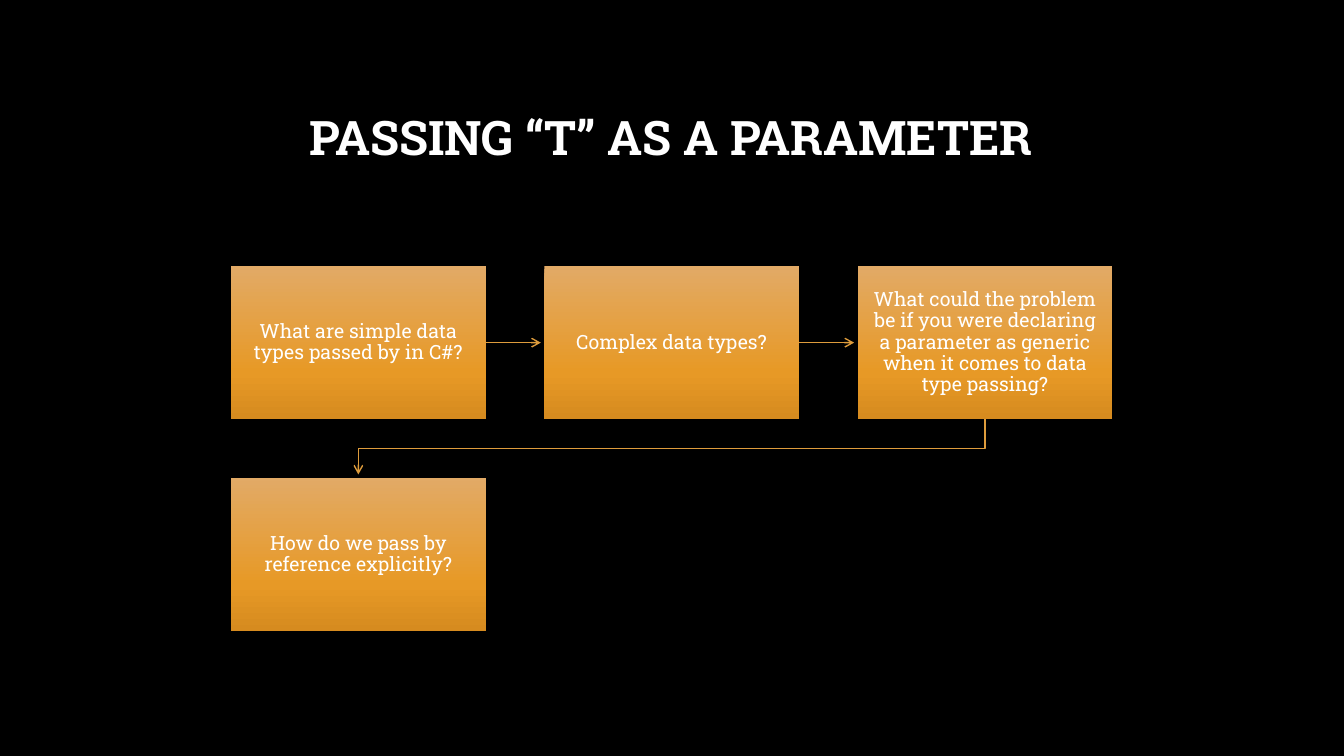
from copy import deepcopy

from pptx import Presentation
from pptx.dml.color import RGBColor as RGB
from pptx.enum.shapes import MSO_CONNECTOR as LINK, MSO_SHAPE as SHAPE
from pptx.enum.text import MSO_ANCHOR as ANCHOR, PP_ALIGN as ALIGN
from pptx.oxml.ns import qn
from pptx.oxml.xmlchemy import OxmlElement as Element
from pptx.util import Pt

BLACK = RGB(0x00, 0x00, 0x00)
WHITE = RGB(0xFF, 0xFF, 0xFF)
AMBER = RGB(0xDE, 0x9C, 0x3C)
FADE = [
    (0, RGB(0xE2, 0xAA, 0x66)),
    (0.69, RGB(0xE7, 0x99, 0x26)),
    (1, RGB(0xD6, 0x8B, 0x1F)),
]
FONT = "Roboto Slab"
TITLE = "PASSING “T” AS A PARAMETER"
STEPS = [
    "What are simple data types passed by in C#?",
    "Complex data types?",
    "What could the problem be if you were declaring a parameter "
    "as generic when it comes to data type passing?",
    "How do we pass by reference explicitly?",
]
COLS = 3
CARD_W, CARD_H = 182, 109.5
STEP_X, STEP_Y = 223.8, 151.4
TIP = 2.5


def write(shape, text, size, bold=False, pad=None, after=0):
    frame = shape.text_frame
    frame.word_wrap = True
    frame.vertical_anchor = ANCHOR.MIDDLE
    if pad:
        frame.margin_left = frame.margin_right = Pt(pad[0])
        frame.margin_top = frame.margin_bottom = Pt(pad[1])
    para = frame.paragraphs[0]
    para.alignment = ALIGN.CENTER
    para.line_spacing = 0.9
    para.space_after = Pt(after)
    run = para.add_run()
    run.text = text
    font = run.font
    font.name, font.size, font.bold = FONT, Pt(size), bold
    font.color.rgb = WHITE


def shade(shape):
    fill = shape.fill
    fill.gradient()
    fill.gradient_angle = 270
    stops = shape._element.spPr.find(qn("a:gradFill")).find(qn("a:gsLst"))
    stops.append(deepcopy(stops[-1]))
    for stop, (pos, color) in zip(fill.gradient_stops, FADE):
        stop.position = pos
        stop.color.rgb = color


def point(shape):
    shape.line.color.rgb = AMBER
    shape.line.width = Pt(1)
    tail = Element("a:tailEnd")
    tail.set("type", "arrow")
    shape.line._get_or_add_ln().append(tail)


def title(slide, x, y, w, h):
    box = slide.shapes.add_textbox(Pt(x), Pt(y), Pt(w), Pt(h))
    write(box, TITLE, 34, bold=True)


def card(slide, x, y, text):
    box = slide.shapes.add_shape(
        SHAPE.RECTANGLE, Pt(x), Pt(y), Pt(CARD_W), Pt(CARD_H))
    box.shadow.inherit = False
    box.line.fill.background()
    shade(box)
    write(box, text, 14, pad=(8.9, 9.4), after=4.9)


def arrow(slide, x, y, end):
    link = slide.shapes.add_connector(
        LINK.STRAIGHT, Pt(x), Pt(y), Pt(end), Pt(y))
    link._element.spPr.append(Element("a:effectLst"))
    point(link)


def turn(slide, x, y, end_x, end_y):
    mid = (y + end_y + TIP) / 2
    path = slide.shapes.build_freeform(Pt(x), Pt(y))
    path.add_line_segments(
        [(Pt(a), Pt(b)) for a, b in ((x, mid), (end_x, mid), (end_x, end_y))],
        close=False)
    bend = path.convert_to_shape()
    bend.shadow.inherit = False
    bend.fill.background()
    point(bend)


def flow(slide, x, y):
    spots = [(x + i % COLS * STEP_X, y + i // COLS * STEP_Y)
             for i in range(len(STEPS))]
    for (left, top), (next_x, next_y) in zip(spots, spots[1:]):
        if top == next_y:
            arrow(slide, left + CARD_W, top + CARD_H / 2, next_x - TIP)
        else:
            turn(slide, left + CARD_W / 2, top + CARD_H,
                 next_x + CARD_W / 2, next_y - TIP)
    for (left, top), text in zip(spots, STEPS):
        card(slide, left, top, text)


def main():
    deck = Presentation()
    deck.slide_width, deck.slide_height = Pt(960), Pt(540)
    slide = deck.slides.add_slide(deck.slide_layouts[6])
    back = slide.background.fill
    back.solid()
    back.fore_color.rgb = BLACK
    title(slide, 72, 48, 815, 104.4)
    flow(slide, 165, 190)
    deck.save("out.pptx")


if __name__ == "__main__":
    main()
